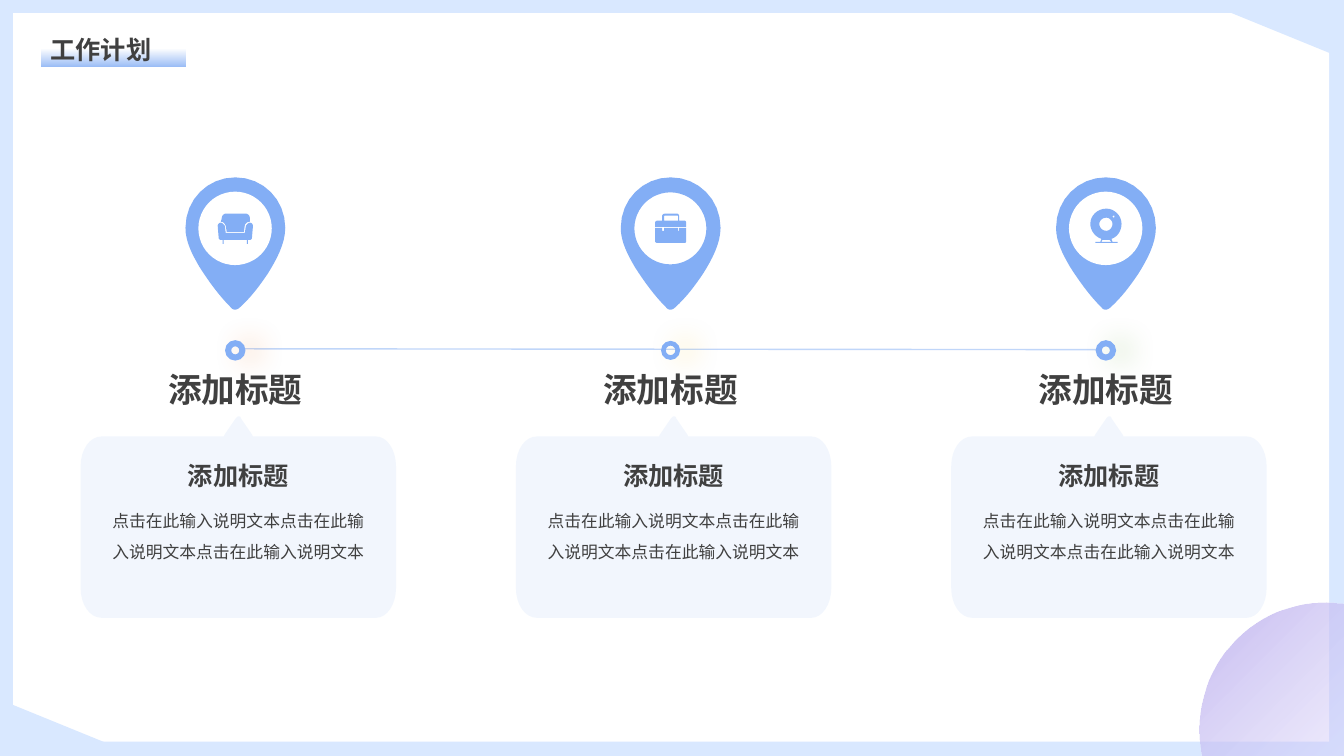
from lxml import etree
from pptx import Presentation
from pptx.dml.color import RGBColor
from pptx.enum import shapes as kinds, text as t
from pptx.oxml import parse_xml
from pptx.oxml.ns import nsdecls, qn
from pptx.util import Cm, Pt

BLUE = RGBColor(0x83, 0xAE, 0xF5)
PALE = RGBColor(0xD9, 0xE8, 0xFF)
WHITE = RGBColor(0xFF, 0xFF, 0xFF)
DARK = RGBColor(0x40, 0x40, 0x40)
LILAC = RGBColor(0xC1, 0xB5, 0xEF)
MIST = RGBColor(0xDC, 0xD7, 0xFF)
ORANGE = RGBColor(0xED, 0x7D, 0x31)
GOLD = RGBColor(0xFF, 0xC0, 0x00)
GREEN = RGBColor(0x70, 0xAD, 0x47)
FONT = "Noto Sans CJK SC"
KIND = kinds.MSO_SHAPE
STEP = Cm(10.97)  # distance between columns
UNIT = Cm(2.54) / 100  # one unit of the outlines below

# Outlines, placed for the first column
CALL = ("M 237 413, C 238 413 239 414 239 415, L 250 431, L 251 433, L 373 433,"
        "C 384 433 393 446 393 463, L 393 583, C 393 600 384 613 373 613,"
        "L 101 613, C 89 613 80 600 80 583, L 80 463, C 80 446 89 433 101 433,"
        "L 222 433, L 223 431, L 234 415, C 235 414 236 413 237 413")
PIN = ("M 233.5 176, C 206 176 184 198 184 226, C 184 240 191 253 198 265,"
       "C 207 279 217 293 229 305, C 231 308 235 308 238 305,"
       "C 249 295 258 283 266 271, C 274 258 283 242 283 226,"
       "C 283 198 261 176 233.5 176")
SOFA = ("M 248 221, C 250 221 251 223 251 224, L 250 236, C 250 237 249 238 248 238,"
        "L 246 238, L 246 242, L 245 242, L 245 238, L 222 238, L 222 242, L 221 242,"
        "L 221 238, L 219 238, C 218 238 217 237 217 236, L 216 224,"
        "C 216 223 217 221 219 221, C 221 221 222 223 223 224, L 224 231, L 243 231,"
        "L 244 224, C 245 223 246 221 248 221 Z"
        "M 244 212, C 246 212 248 214 248 217, L 248 220, C 246 220 244 221 243 223,"
        "L 242 230, L 225 230, L 224 224, C 223 222 222 220 219 220, L 220 217,"
        "C 220 214 222 212 224 212")
CASE = ("M 225 226, L 225 229, L 227 229, L 227 226, L 241 226, L 241 229, L 242 229,"
        "L 242 226, L 249 226, L 249 239, C 249 240 248 241 248 241, L 220 241,"
        "C 219 241 218 240 218 239, L 218 226 Z"
        "M 240 212, C 241 212 242 213 242 215, L 242 219, L 248 219,"
        "C 248 219 249 220 249 221, L 249 225, L 218 225, L 218 221,"
        "C 218 220 219 219 220 219, L 225 219, L 225 215, C 225 213 226 212 228 212 Z"
        "M 240 214, L 228 214, C 227 214 227 214 227 215, L 227 219, L 241 219,"
        "L 241 215, C 241 214 241 214 240 214")
CAM = ("M 234 207, C 242 207 249 214 249 222, C 249 229 245 235 239 237, L 240 240,"
       "L 245 240, L 245 241, L 223 241, L 223 240, L 228 240, L 229 237,"
       "C 223 235 218 229 218 222, C 218 214 225 207 234 207 Z"
       "M 230 238, L 229 240, L 239 240, L 237 238, C 236 238 235 238 234 238,"
       "C 233 238 231 238 230 238 Z"
       "M 234 216, C 230 216 227 219 227 222, C 227 226 230 229 234 229,"
       "C 237 229 240 226 240 222, C 240 219 237 216 234 216 Z"
       "M 241 214, C 241 214 240 214 240 215, C 240 215 241 216 241 216,"
       "C 242 216 242 215 242 215, C 242 214 242 214 241 214")


def paint(shape, color, edge=None):
    shape.shadow.inherit = False
    shape.fill.solid()
    shape.fill.fore_color.rgb = color
    if edge:
        shape.line.color.rgb = edge
        shape.line.width = Pt(1)
    else:
        shape.line.fill.background()


def write(frame, words, size, bold, align):
    frame.word_wrap = True
    par = frame.paragraphs[0]
    par.alignment = align
    run = par.add_run()
    run.text = words
    run.font.size, run.font.bold = Pt(size), bold
    run.font.color.rgb = DARK
    run.font.name = FONT
    etree.SubElement(run.font._element, qn("a:ea"), typeface=FONT)
    return par


deck = Presentation()
deck.slide_width, deck.slide_height = Cm(33.87), Cm(19.05)
slide = deck.slides.add_slide(deck.slide_layouts[5])
pool = slide.shapes

# Frame, panel, cut corners, title bar and corner disc
LINEAR = '<a:lin ang="16200000" scaled="0"/>'
RADIAL = '<a:path path="circle"><a:fillToRect l="100000" t="100000"/></a:path>'
for kind, box, turn, color, grad in (
        (KIND.RECTANGLE, (0, 0, 33.87, 19.05), 0, PALE, None),
        (KIND.RECTANGLE, (0.33, 0.33, 33.17, 18.36), 0, WHITE, None),
        (KIND.RECTANGLE, (1.04, 1.24, 3.63, 0.43), 0, BLUE, (BLUE, 84, BLUE, 0, LINEAR)),
        (KIND.OVAL, (30.23, 15.19, 6.38, 6.38), 270, LILAC, (MIST, 0, LILAC, 91, RADIAL)),
        (KIND.RIGHT_TRIANGLE, (0, 17.63, 3.68, 1.5), 0, PALE, None),
        (KIND.RIGHT_TRIANGLE, (30.23, 0, 3.68, 1.5), 180, PALE, None)):
    shape = pool.add_shape(kind, *map(Cm, box))
    shape.rotation = turn
    paint(shape, color)
    if grad:
        first, near, last, far, way = grad
        stops = "".join(
            f'<a:gs pos="{pos}"><a:srgbClr val="{tone}"><a:alpha val="{dense * 1000}"/>'
            "</a:srgbClr></a:gs>"
            for pos, tone, dense in ((0, first, near), (100000, last, far)))
        solid = shape._element.spPr.find(qn("a:solidFill"))
        solid.getparent().replace(solid, parse_xml(
            f'<a:gradFill {nsdecls("a")} rotWithShape="1"><a:gsLst>{stops}</a:gsLst>'
            f"{way}</a:gradFill>"))

# Title
title = pool.title
title.left, title.top, title.width, title.height = map(Cm, (1.02, 0.74, 3.68, 1.02))
title.text_frame.auto_size = t.MSO_AUTO_SIZE.NONE
title.text_frame.vertical_anchor = t.MSO_ANCHOR.TOP
write(title.text_frame, "工作计划", 18, True, t.PP_ALIGN.JUSTIFY)
pool.element.append(title.element)

# Time line
line = pool.add_connector(kinds.MSO_CONNECTOR.STRAIGHT,
                          Cm(27.64), Cm(8.81), Cm(6.05), Cm(8.79))
line.line.color.rgb, line.line.width = BLUE, Pt(1)
tint = next(line._element.iter(qn("a:srgbClr")))
etree.SubElement(tint, qn("a:alpha"), val="50000")
etree.SubElement(line._element.spPr, qn("a:effectLst"))

# Three columns
for col, (icon, glow, rim, edge) in enumerate((
        (SOFA, ORANGE, BLUE, None), (CASE, GOLD, None, BLUE), (CAM, GREEN, BLUE, None))):
    shift = col * STEP
    for part in (CALL, KIND.DONUT, PIN, KIND.OVAL, icon):
        if part == KIND.DONUT:
            dot = pool.add_shape(part, Cm(5.69) + shift, Cm(8.59), Cm(0.48), Cm(0.48))
            paint(dot, BLUE, rim)
            dot._element.spPr.find(qn("a:effectLst")).append(parse_xml(
                f'<a:outerShdw {nsdecls("a")} blurRad="{Pt(20)}" dist="{Pt(10)}" dir="0">'
                f'<a:srgbClr val="{glow}"><a:alpha val="32000"/></a:srgbClr></a:outerShdw>'))
            continue
        if part == KIND.OVAL:
            disc = pool.add_shape(part, Cm(5) + shift, Cm(4.83), Cm(1.85), Cm(1.85))
            paint(disc, WHITE, edge)
            continue
        # Outline: straight steps, and curves cut into eight pieces
        form = None
        for ring in part.split("Z"):
            dots = []
            for step in ring.split(","):
                nums = [float(n) * UNIT for n in step.split()[1:]]
                ends = list(zip(nums[::2], nums[1::2]))
                if len(ends) == 1:
                    dots += ends
                    continue
                four = [dots[-1]] + ends
                for k in range(1, 9):
                    f = k / 8
                    mix = ((1 - f) ** 3, 3 * f * (1 - f) ** 2, 3 * f * f * (1 - f), f ** 3)
                    dots.append(tuple(sum(m * p[a] for m, p in zip(mix, four))
                                      for a in (0, 1)))
            dots = [(round(x + shift), round(y)) for x, y in dots]
            if form:
                form.move_to(*dots[0])
            else:
                form = pool.build_freeform(*dots[0])
            form.add_line_segments(dots[1:], close=True)
        shape = form.convert_to_shape()
        paint(shape, BLUE)
        if part == CALL:
            tint = next(shape._element.spPr.iter(qn("a:srgbClr")))
            etree.SubElement(tint, qn("a:alpha"), val="10000")

    # Labels
    for x, y, w, h, words, size, bold, gap in (
            (3.76, 9.17, 4.34, 1.27, "添加标题", 24, True, 1),
            (2.46, 11.46, 7.09, 1.02, "添加标题", 18, True, 1),
            (2.46, 12.5, 7.09, 1.7, "点击在此输入说明文本" * 3, 12, False, 1.5)):
        frame = pool.add_textbox(Cm(x) + shift, Cm(y), Cm(w), Cm(h)).text_frame
        frame.vertical_anchor = t.MSO_ANCHOR.MIDDLE if bold else t.MSO_ANCHOR.TOP
        par = write(frame, words, size, bold, t.PP_ALIGN.CENTER)
        par.line_spacing = float(gap)

deck.save("out.pptx")
